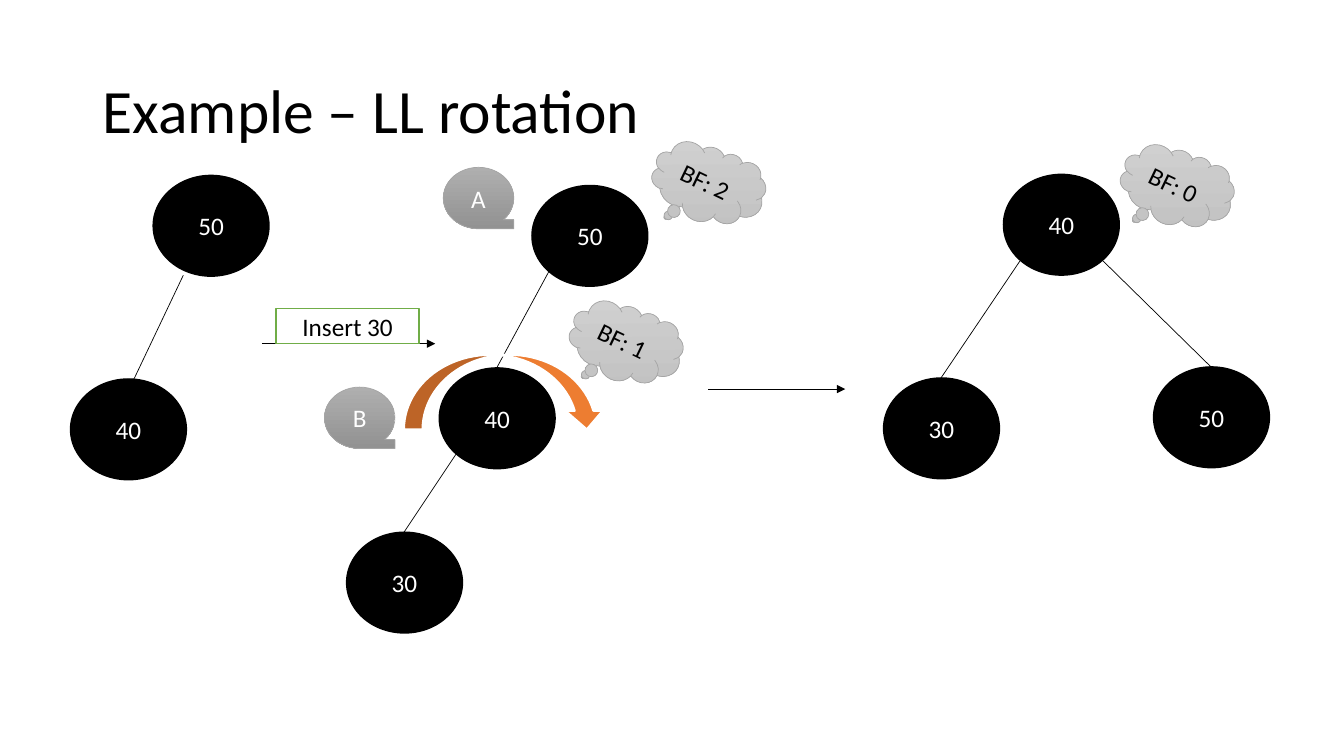
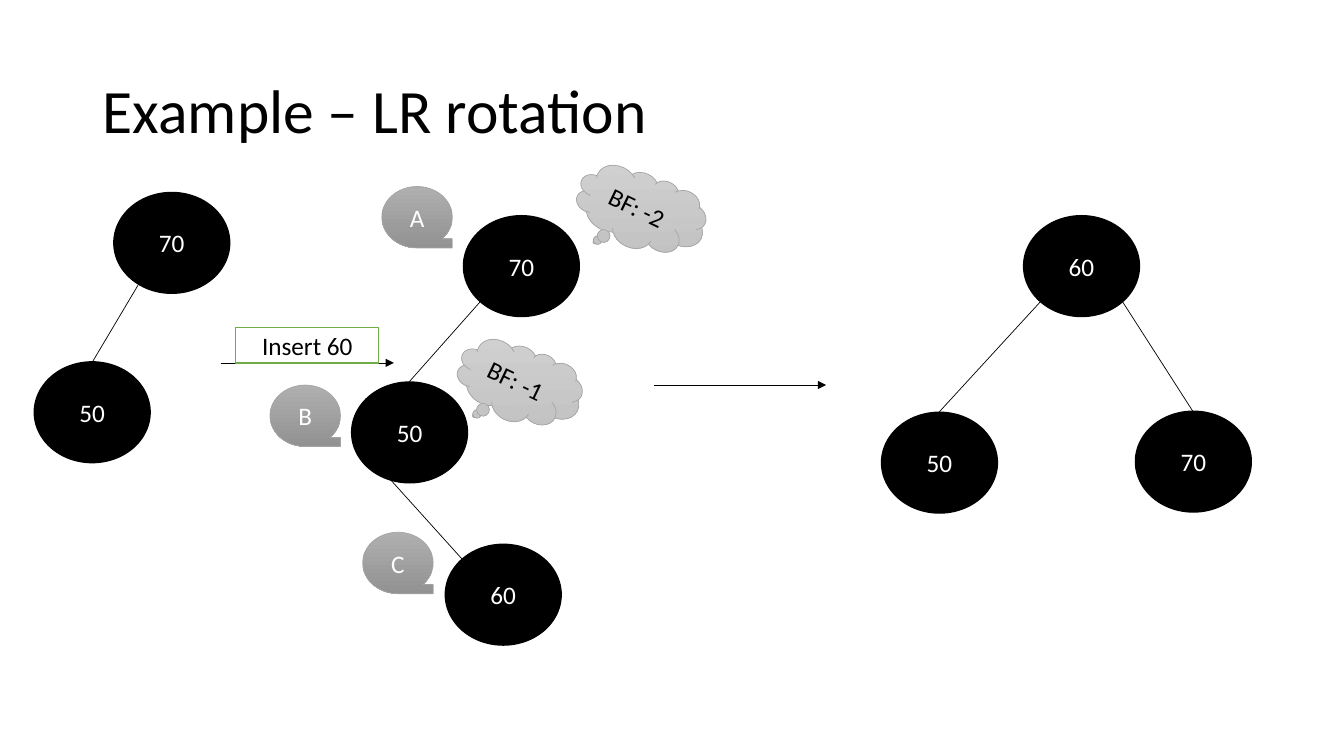
from lxml.etree import SubElement
from pptx import Presentation
from pptx.dml.color import RGBColor
from pptx.enum.shapes import MSO_CONNECTOR, MSO_SHAPE
from pptx.enum.text import MSO_ANCHOR, PP_ALIGN
from pptx.oxml.ns import qn
from pptx.util import Inches, Pt

LOWER_LEFT, LOWER_RIGHT = (0.17, 0.85), (0.98, 0.85)
TOP, UPPER_LEFT = (0.57, 0), (0.17, 0.15)

SLIDES = [
    {
        "title": "Example – LL rotation",
        "trees": [
            {"nodes": [("50", 1.52, 1.74), ("40", 0.7, 3.76)],
             "edges": [(0, 1, (0.3, 0.99), (0.63, 0))]},
            {"nodes": [("50", 5.28, 1.84), ("40", 4.36, 3.65), ("30", 3.44, 5.28)],
             "edges": [(0, 1, LOWER_LEFT, TOP), (1, 2, LOWER_LEFT, TOP)]},
            {"nodes": [("40", 9.96, 1.73), ("30", 8.77, 3.75), ("50", 11.45, 3.64)],
             "edges": [(0, 1, LOWER_LEFT, TOP), (0, 2, LOWER_RIGHT, TOP)]},
        ],
        "arrows": [(2.6, 4.32, 3.41), (7.03, 8.39, 3.86)],
        "insertion": ("Insert 30", 2.74, 3.06),
        "balances": [("BF: 2", 6.46, 1.45, 1.14), ("BF: 1", 5.64, 3.03, 1.14),
                     ("BF: 0", 11.11, 1.48, 1.14)],
        "markers": [("A", 4.4, 1.66), ("B", 3.22, 3.84)],
        "turns": [(4.01, 3.52)],
    },
    {
        "title": "Example – LR rotation",
        "trees": [
            {"nodes": [("70", 1.13, 1.91), ("50", 0.34, 3.59)],
             "edges": [(0, 1, (0.24, 0.92), (0.56, 0.03))]},
            {"nodes": [("70", 4.6, 2.14), ("50", 3.49, 3.79), ("60", 4.42, 5.4)],
             "edges": [(0, 1, LOWER_LEFT, TOP), (1, 2, (0.36, 0.94), UPPER_LEFT)]},
            {"nodes": [("60", 10.16, 2.14), ("50", 8.75, 4.09), ("70", 11.27, 4.08)],
             "edges": [(0, 1, LOWER_LEFT, TOP), (0, 2, LOWER_RIGHT, TOP)]},
        ],
        "arrows": [(2.19, 3.91, 3.6), (6.49, 8.2, 3.82)],
        "insertion": ("Insert 60", 2.34, 3.25),
        "balances": [("BF: -2", 5.7, 1.71, 1.32), ("BF: -1", 4.52, 3.43, 1.27)],
        "markers": [("A", 3.79, 1.85), ("B", 2.68, 3.82), ("C", 3.6, 5.28)],
        "turns": [],
    },
]

BLACK, WHITE, GREY = "000000", "FFFFFF", "A5A5A5"
STYLES = {
    "node": {"preset": MSO_SHAPE.OVAL, "fill": [BLACK], "line": (BLACK, 1), "ink": WHITE},
    "insertion": {"preset": MSO_SHAPE.RECTANGLE, "fill": [WHITE], "line": ("70AD47", 1),
                  "ink": BLACK},
    "balance": {"preset": MSO_SHAPE.CLOUD_CALLOUT, "fill": ["D2D2D2", "C0C0C0"],
                "line": (GREY, 0.5), "ink": BLACK, "rotation": 25.6, "angle": 296},
    "marker": {"preset": MSO_SHAPE.FLOWCHART_SEQUENTIAL_ACCESS_STORAGE,
               "fill": ["AFAFAF", "929292"], "line": (GREY, 0.5), "ink": WHITE, "angle": 270},
    "turn": {"preset": MSO_SHAPE.CURVED_DOWN_ARROW, "fill": ["ED7D31"],
             "line": (WHITE, 1.5), "ink": WHITE},
}
TITLE_BOX = {"left": 0.92, "top": 0.4, "width": 11.5, "height": 1.45}


def colour(value):
    return RGBColor.from_string(value)


def write(frame, text, size, ink, align):
    frame.text = text
    frame.vertical_anchor = MSO_ANCHOR.MIDDLE
    paragraph = frame.paragraphs[0]
    paragraph.alignment = align
    for name, value in {"name": "Calibri", "size": Pt(size)}.items():
        setattr(paragraph.font, name, value)
    paragraph.font.color.rgb = colour(ink)
    return paragraph


def add_part(slide, kind, text, left, top, width, height):
    style = STYLES[kind]
    part = slide.shapes.add_shape(style["preset"], *map(Inches, (left, top, width, height)))
    part.shadow.inherit = False
    part.rotation = style.get("rotation", 0)
    if len(style["fill"]) == 1:
        part.fill.solid()
        part.fill.fore_color.rgb = colour(style["fill"][0])
    else:
        part.fill.gradient()
        part.fill.gradient_angle = style["angle"]
        for stop, shade in zip(part.fill.gradient_stops, style["fill"]):
            stop.color.rgb = colour(shade)
    line_colour, line_width = style["line"]
    part.line.color.rgb = colour(line_colour)
    part.line.width = Pt(line_width)
    if text:
        write(part.text_frame, text, 18, style["ink"], PP_ALIGN.CENTER)


def add_line(slide, start, end, arrow=False):
    connector = slide.shapes.add_connector(
        MSO_CONNECTOR.STRAIGHT, *map(Inches, (*start, *end)))
    connector.line.color.rgb = colour(BLACK)
    connector.line.width = Pt(0.5)
    if arrow:
        SubElement(connector.line._get_or_add_ln(), qn("a:tailEnd"), type="triangle")
    SubElement(connector._element.spPr, qn("a:effectLst"))


def add_tree(slide, nodes, edges):
    for parent, child, leave, arrive in edges:
        start, end = [
            (nodes[index][1] + dx, nodes[index][2] + dy)
            for index, (dx, dy) in ((parent, leave), (child, arrive))
        ]
        add_line(slide, start, end)
    for key, left, top in nodes:
        add_part(slide, "node", key, left, top, 1.15, 1)


def add_title(slide, text):
    title = slide.shapes.title
    for name, value in TITLE_BOX.items():
        setattr(title, name, Inches(value))
    write(title.text_frame, text, 44, BLACK, PP_ALIGN.LEFT).line_spacing = 0.9


def build(deck, content):
    slide = deck.slides.add_slide(deck.slide_layouts[5])
    add_title(slide, content["title"])
    for start, end, y in content["arrows"]:
        add_line(slide, (start, y), (end, y), arrow=True)
    add_part(slide, "insertion", *content["insertion"], 1.42, 0.35)
    for tree in content["trees"]:
        add_tree(slide, **tree)
    for text, left, top, width in content["balances"]:
        add_part(slide, "balance", text, left, top, width, 0.76)
    for text, left, top in content["markers"]:
        add_part(slide, "marker", text, left, top, 0.7, 0.61)
    for left, top in content["turns"]:
        add_part(slide, "turn", "", left, top, 2, 0.74)


def main():
    deck = Presentation()
    deck.slide_width, deck.slide_height = Inches(13.34), Inches(7.5)
    for content in SLIDES:
        build(deck, content)
    deck.save("out.pptx")


if __name__ == "__main__":
    main()
